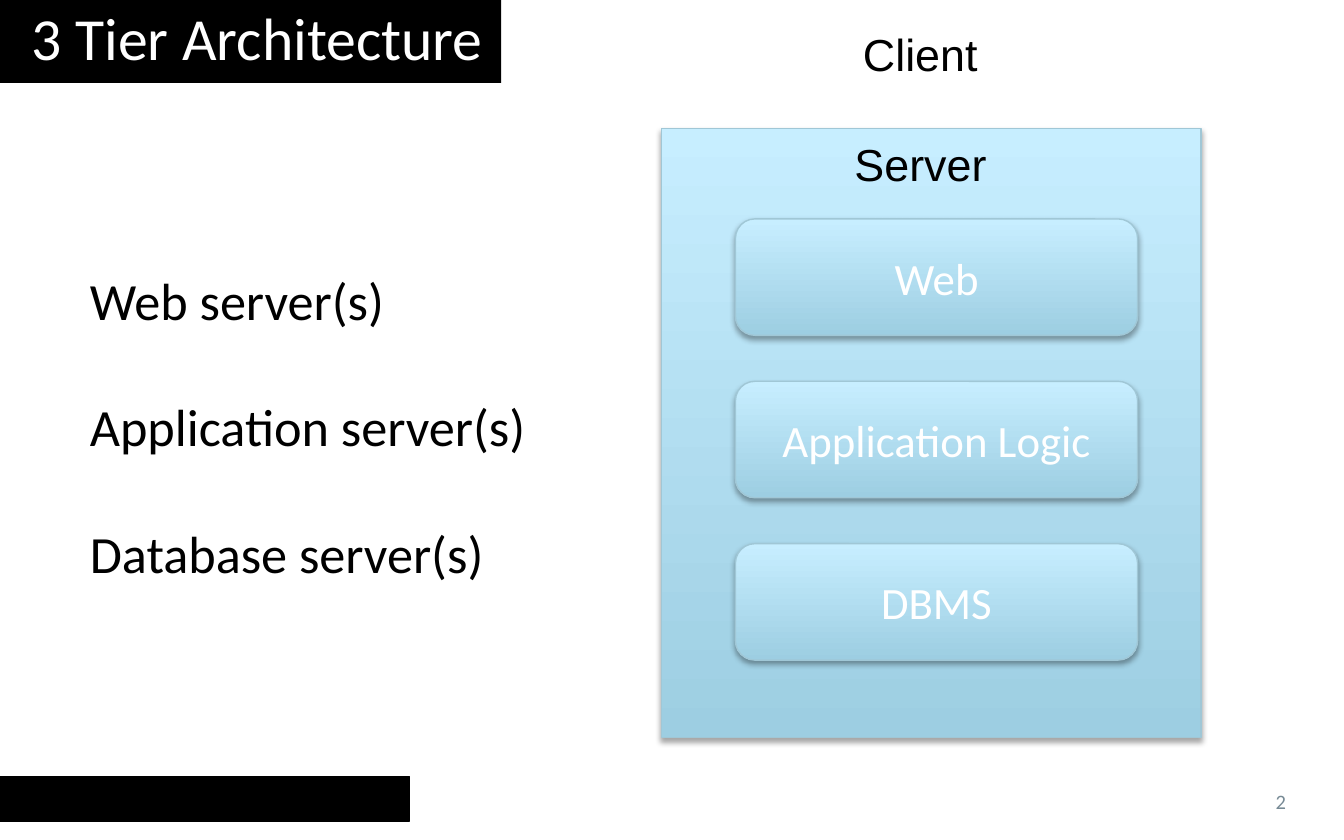
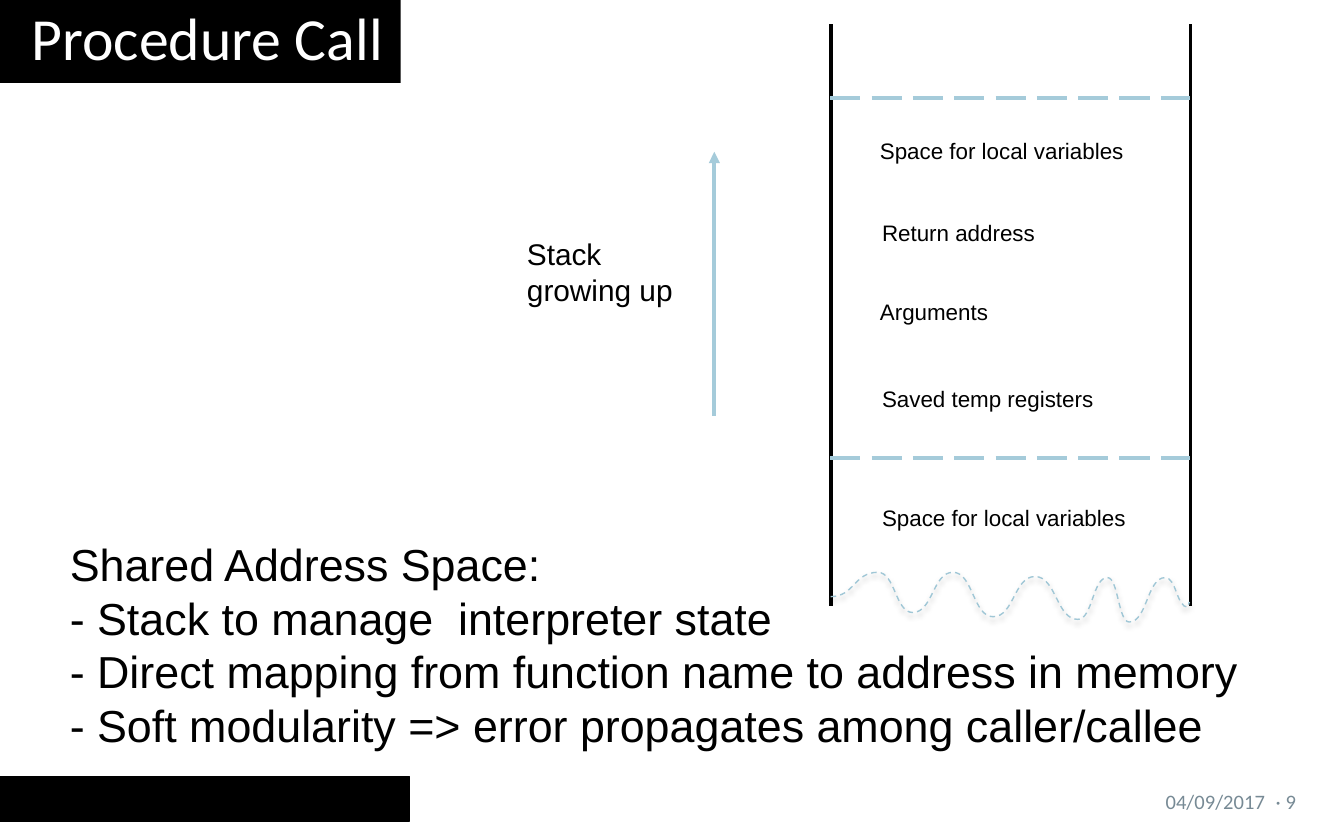
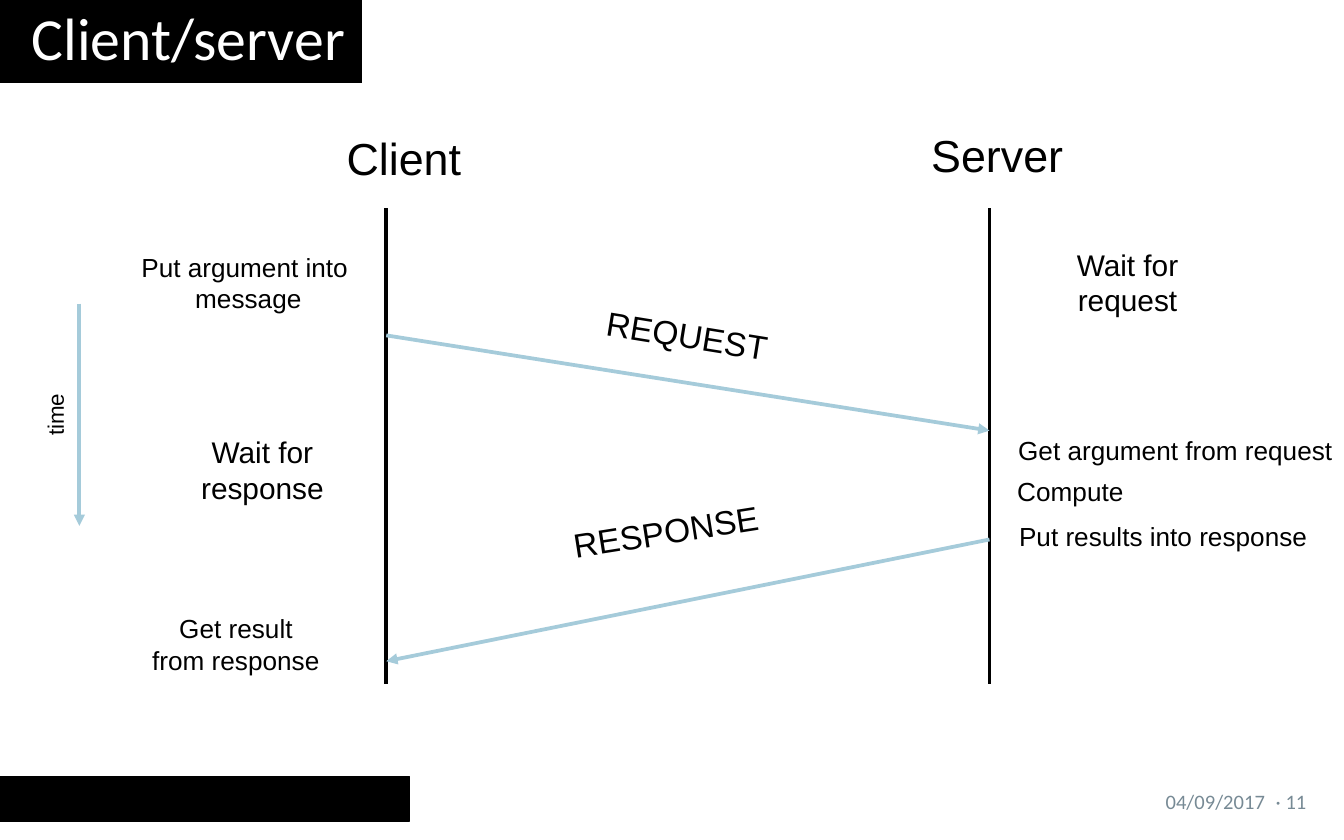
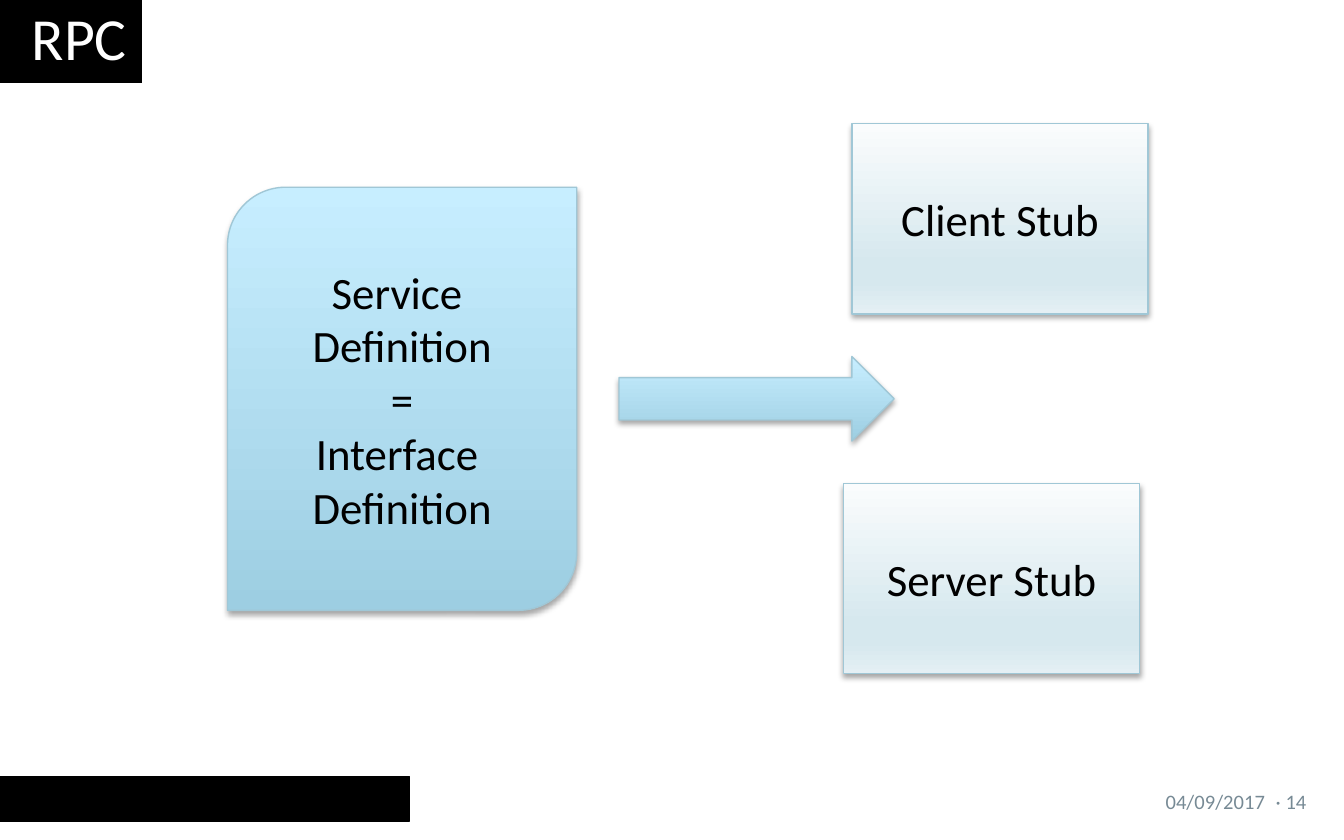
"""Builds four slides on tiered systems, procedure calls and RPC."""
from copy import deepcopy

from lxml.etree import SubElement
from pptx import Presentation
from pptx.dml.color import RGBColor
from pptx.enum.dml import MSO_LINE as Dash
from pptx.enum.shapes import MSO_CONNECTOR as Link, MSO_SHAPE as Kind
from pptx.enum.text import MSO_ANCHOR as Anchor, MSO_AUTO_SIZE as Fit, PP_ALIGN as Side
from pptx.oxml.ns import qn
from pptx.util import Cm, Pt

rgb = RGBColor.from_string
BLACK, WHITE, GREY = "000000", "FFFFFF", "778A95"
EDGE, BLUE = "A0C7D6", "A5CBDA"
SKY = [(0, "C7EEFF"), (1, "9DCEE2")]
PALE = [(0, "FAFCFD"), (0.74, "D6E8EE"), (0.83, "D6E8EE"), (1, "E4EFF4")]
LEFT, MID, RIGHT = Side.LEFT, Side.CENTER, Side.RIGHT


def write(shape, rows, size, hue=BLACK, font="Calibri", side=LEFT, wrap=True, gap=0):
    """Fill a shape with one paragraph per row and return its text frame."""
    frame = shape.text_frame
    frame.word_wrap = wrap
    for i, row in enumerate(rows):
        para = frame.add_paragraph() if i else frame.paragraphs[0]
        para.alignment = side
        if i and gap:
            para.space_before = Pt(gap)
        for j, part in enumerate(row.split("\n")):
            if j:
                para.add_line_break()
            run = para.add_run()
            run.text = part
            run.font.size, run.font.name = Pt(size), font
            run.font.color.rgb = rgb(hue)
    return frame


def gloss(shape, stops):
    """Give a shape a gradient, a thin edge and a soft shadow."""
    if stops:
        shape.fill.gradient()
        shape.fill.gradient_angle = 270
        ramp = shape.element.spPr.find(qn("a:gradFill")).find(qn("a:gsLst"))
        for _ in stops[2:]:
            ramp.append(deepcopy(ramp[0]))
        for stop, (spot, hue) in zip(shape.fill.gradient_stops, stops):
            stop.position = spot
            stop.color.rgb = rgb(hue)
    else:
        shape.fill.background()
    shape.line.color.rgb = rgb(EDGE)
    shape.line.width = Pt(0.75)
    shape.shadow.inherit = False
    glow = SubElement(shape.element.spPr.find(qn("a:effectLst")), qn("a:outerShdw"),
                      blurRad=str(Pt(3.1)), dist=str(Pt(1.8)), dir="5400000", rotWithShape="0")
    tint = SubElement(glow, qn("a:srgbClr"), val=BLACK)
    SubElement(tint, qn("a:alpha"), val="35000")


deck = Presentation()
deck.slide_width, deck.slide_height = Cm(25.4), Cm(15.88)

pages = []
for name, width, date, number in [
    ("3 Tier Architecture", 9.47, "", "2"),
    ("Procedure Call", 7.57, "04/09/2017", "· 9"),
    ("Client/server", 6.84, "04/09/2017", "· 11"),
    ("RPC", 2.68, "04/09/2017", "· 14"),
]:
    page = deck.slides.add_slide(deck.slide_layouts[5])
    pages.append(page)
    band = page.shapes.add_shape(Kind.RECTANGLE, Cm(0), Cm(14.68), Cm(7.74), Cm(0.84))
    band.shadow.inherit = False
    band.fill.solid()
    band.fill.fore_color.rgb = band.line.color.rgb = rgb(BLACK)
    band.line.width = Pt(1)

    title = page.shapes.title
    title.left, title.top, title.width, title.height = Cm(0), Cm(0), Cm(width), Cm(1.57)
    title.fill.solid()
    title.fill.fore_color.rgb = rgb(BLACK)
    frame = write(title, [name], 32, WHITE, wrap=False)
    frame.auto_size, frame.vertical_anchor = Fit.NONE, Anchor.MIDDLE
    frame.margin_left, frame.margin_right = Cm(0.6), Cm(0.25)
    frame.margin_top, frame.margin_bottom = Cm(0), Cm(0.2)

    for word, x, width, side in [(date, 17.99, 5.92, RIGHT), (number, 24.11, 0.84, LEFT)]:
        if word:
            foot = page.shapes.add_textbox(Cm(x), Cm(14.72), Cm(width), Cm(0.84))
            frame = write(foot, [word], 11, GREY, side=side)
            frame.vertical_anchor = Anchor.MIDDLE
            frame.margin_left = frame.margin_right = frame.margin_top = frame.margin_bottom = 0

tiers, call, talk, rpc = pages

body = tiers.shapes.add_textbox(Cm(1.7), Cm(2.44), Cm(22.23), Cm(11.23))
frame = write(body, ["Web server(s)", "Application server(s)", "Database server(s)"], 28, gap=34)
frame.vertical_anchor = Anchor.MIDDLE
frame.margin_left = frame.margin_right = frame.margin_top = frame.margin_bottom = 0

blocks = [(tiers, Kind.RECTANGLE, 12.5, 2.43, 10.2, 11.51, SKY, [], BLACK)]
for i, tier in enumerate(["Web", "Application Logic", "DBMS"]):
    blocks.append((tiers, Kind.ROUNDED_RECTANGLE, 13.9, 4.14 + 3.07 * i, 7.6, 2.2,
                   SKY, [tier], WHITE))
blocks += [
    (rpc, Kind.ROUND_2_DIAG_RECTANGLE, 4.3, 3.54, 6.6, 8, SKY,
     ["Service \nDefinition", "=", "Interface ", "Definition"], BLACK),
    (rpc, Kind.RECTANGLE, 16.1, 2.34, 5.6, 3.6, PALE, ["Client Stub"], BLACK),
    (rpc, Kind.RECTANGLE, 15.94, 9.14, 5.6, 3.6, PALE, ["Server Stub"], BLACK),
    (rpc, Kind.RIGHT_ARROW, 11.7, 6.74, 5.2, 1.6, SKY, [], BLACK),
]
for page, kind, x, y, width, height, stops, rows, hue in blocks:
    block = page.shapes.add_shape(kind, Cm(x), Cm(y), Cm(width), Cm(height))
    gloss(block, stops)
    write(block, rows, 24, hue, side=MID)

for page, x1, y1, x2, y2, hue, style in [
    (call, 15.7, 0.46, 15.7, 11.46, BLACK, "plain"),
    (call, 22.5, 0.46, 22.5, 11.46, BLACK, "plain"),
    (call, 13.5, 7.86, 13.5, 2.87, BLUE, "arrow"),
    (call, 15.69, 8.66, 22.49, 8.66, BLUE, "dash"),
    (call, 15.69, 1.85, 22.49, 1.85, BLUE, "dash"),
    (talk, 7.3, 3.94, 7.3, 12.94, BLACK, "plain"),
    (talk, 18.7, 3.94, 18.7, 12.94, BLACK, "plain"),
    (talk, 1.5, 5.74, 1.5, 9.94, BLUE, "arrow"),
    (talk, 7.3, 6.34, 18.7, 8.14, BLUE, "arrow"),
    (talk, 18.7, 10.2, 7.3, 12.5, BLUE, "arrow"),
]:
    line = page.shapes.add_connector(Link.STRAIGHT, Cm(x1), Cm(y1), Cm(x2), Cm(y2))
    line.line.color.rgb = rgb(hue)
    line.line.width = Pt(2)
    props = line.element.spPr
    if style == "dash":
        line.line.dash_style = Dash.LONG_DASH
    if style == "arrow":
        SubElement(props.find(qn("a:ln")), qn("a:tailEnd"), type="triangle")
    SubElement(props, qn("a:effectLst"))

knots = [(15.7, 11.28), (16.59, 10.82), (17.25, 11.58), (18.01, 10.82), (18.77, 11.66),
         (19.56, 10.9), (20.37, 11.71), (20.93, 10.92), (21.34, 11.76), (22.02, 10.92),
         (22.45, 11.48), (22.48, 11.38)]
spots = [(Cm(x), Cm(y)) for x, y in knots]
pen = call.shapes.build_freeform(*spots[0])
pen.add_line_segments(spots[1:], close=False)
wave = pen.convert_to_shape()
gloss(wave, [])
wave.line.dash_style = Dash.DASH
ends = list(wave.element.spPr.iter(qn("a:pt")))
for start, end in zip(ends, ends[1:]):
    bend = SubElement(end.getparent().getparent(), qn("a:cubicBezTo"))
    half = str((int(start.get("x")) + int(end.get("x"))) // 2)
    for x, y in [(half, start.get("y")), (half, end.get("y")), (end.get("x"), end.get("y"))]:
        SubElement(bend, qn("a:pt"), x=x, y=y)
for end in ends[1:]:
    step = end.getparent()
    step.getparent().remove(step)

for x, y, label in [
    (16.42, 9.4, "Space for local variables"),
    (16.38, 2.46, "Space for local variables"),
    (16.42, 4.01, "Return address"),
    (16.38, 5.51, "Arguments"),
    (16.42, 7.15, "Saved temp registers"),
]:
    slot = call.shapes.add_textbox(Cm(x), Cm(y), Cm(5.41), Cm(0.79))
    write(slot, [label], 12, font="Arial").auto_size = Fit.SHAPE_TO_FIT_TEXT

for page, x, y, width, height, size, side, turn, rows in [
    (tiers, 16.06, 0.38, 2.69, 1.27, 24, LEFT, 0, ["Client"]),
    (tiers, 15.9, 2.46, 3.02, 1.27, 24, LEFT, 0, ["Server"]),
    (call, 9.71, 4.34, 3.3, 1.63, 16, LEFT, 0, ["Stack", "growing up"]),
    (call, 1.07, 10.02, 23.04, 4.37, 24, LEFT, 0, [
        "Shared Address Space:",
        "- Stack to manage  interpreter state",
        "- Direct mapping from function name to address in memory",
        "- Soft modularity => error propagates among caller/callee"]),
    (talk, 6.3, 2.34, 2.69, 1.27, 24, LEFT, 0, ["Client"]),
    (talk, 17.35, 2.29, 3.02, 1.27, 24, LEFT, 0, ["Server"]),
    (talk, 0.38, 7.45, 1.32, 0.76, 12, LEFT, 270, ["time"]),
    (talk, 11.2, 5.83, 3.61, 1.02, 18, LEFT, 9.2, ["REQUEST"]),
    (talk, 10.57, 9.53, 4.06, 1.02, 18, LEFT, 351, ["RESPONSE"]),
    (talk, 2.41, 4.62, 4.57, 1.45, 14, MID, 0, ["Put argument into ", "message"]),
    (talk, 3.54, 8.08, 2.84, 1.63, 16, MID, 0, ["Wait for\nresponse"]),
    (talk, 2.62, 11.46, 3.68, 1.45, 14, MID, 0, ["Get result\nfrom response"]),
    (talk, 20.08, 4.53, 2.46, 1.63, 16, MID, 0, ["Wait for\nrequest"]),
    (talk, 18.62, 8.08, 7.19, 0.86, 14, MID, 0, ["Get argument from request"]),
    (talk, 18.34, 8.86, 3.78, 0.86, 14, MID, 0, ["Compute"]),
    (talk, 18.57, 9.71, 6.83, 0.86, 14, MID, 0, ["Put results into response"]),
]:
    note = page.shapes.add_textbox(Cm(x), Cm(y), Cm(width), Cm(height))
    note.rotation = turn
    frame = write(note, rows, size, font="Arial", side=side, wrap=False)
    frame.auto_size = Fit.SHAPE_TO_FIT_TEXT

deck.save("out.pptx")
